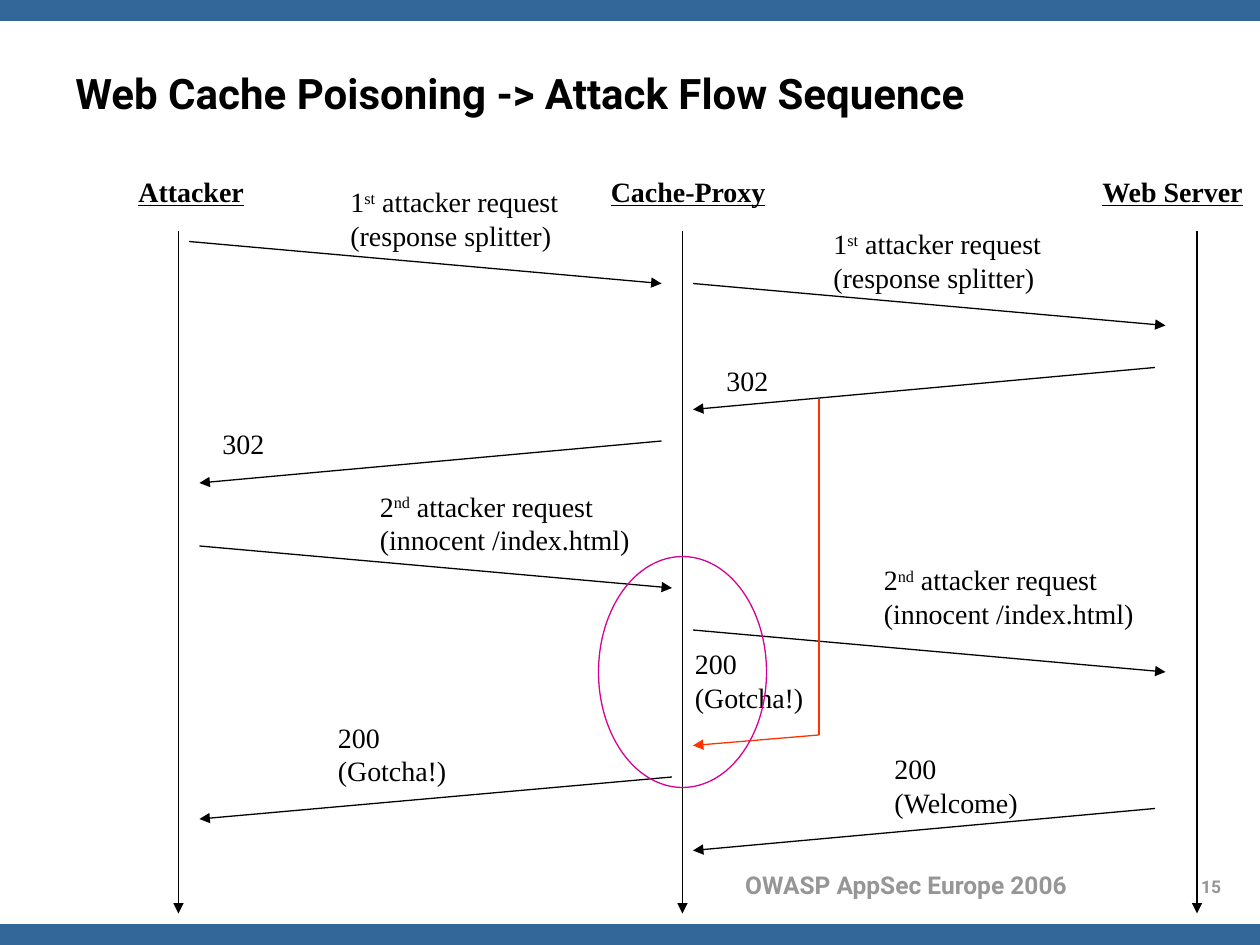
from dataclasses import dataclass

from lxml.etree import SubElement
from pptx import Presentation
from pptx.dml.color import RGBColor as RGB
from pptx.enum.shapes import MSO_CONNECTOR as Connector, MSO_SHAPE as Shape
from pptx.enum.text import MSO_ANCHOR as Anchor, PP_ALIGN as Align
from pptx.oxml.ns import qn
from pptx.util import Inches, Pt


@dataclass(frozen=True)
class Theme:
    bar: RGB = RGB(0x33, 0x66, 0x99)
    ink: RGB = RGB(0, 0, 0)
    muted: RGB = RGB(0x96, 0x96, 0x96)
    poison: RGB = RGB(0xFF, 0x33, 0)
    highlight: RGB = RGB(0xD6, 0, 0x93)
    sans: str = "Roboto"
    serif: str = "Times New Roman"
    title_size: int = 24
    footer_size: int = 14
    number_size: int = 10
    label_size: int = 16
    line_width: float = 0.75


theme = Theme()
COLUMNS, ROWS = 120, 90

presentation = Presentation()
presentation.slide_width = Inches(10)
presentation.slide_height = Inches(7.5)
slide = presentation.slides.add_slide(presentation.slide_layouts[6])
unit = presentation.slide_width / COLUMNS


def add_text(text, box, size, font=theme.serif, color=theme.ink, bold=False,
             underline=False, align=Align.LEFT, anchor=Anchor.TOP, wrap=True):
    """Write text in a grid box; parts between carets are superscript."""
    frame = slide.shapes.add_textbox(*(round(n * unit) for n in box)).text_frame
    frame.word_wrap = wrap
    frame.vertical_anchor = anchor
    for index, line in enumerate(text.split("\n")):
        paragraph = frame.paragraphs[0] if index == 0 else frame.add_paragraph()
        paragraph.alignment = align
        paragraph.font.name = font
        paragraph.font.size = Pt(size)
        paragraph.font.bold = bold
        paragraph.font.underline = underline
        paragraph.font.color.rgb = color
        for position, part in enumerate(line.split("^")):
            run = paragraph.add_run()
            run.text = part
            if position % 2:
                run.font._element.set("baseline", "30000")


def add_line(start, end, color=theme.ink, arrow=True):
    line = slide.shapes.add_connector(
        Connector.STRAIGHT, *(round(n * unit) for n in (*start, *end)))
    line.line.color.rgb = color
    line.line.width = Pt(theme.line_width)
    if arrow:
        SubElement(line.line._get_or_add_ln(), qn("a:tailEnd"), type="triangle")
    SubElement(line._element.spPr, qn("a:effectLst"))


# Frame of the slide
for top in (0, ROWS - 2):
    bar = slide.shapes.add_shape(
        Shape.RECTANGLE, 0, round(top * unit), presentation.slide_width, round(2 * unit))
    bar.shadow.inherit = False
    bar.fill.solid()
    bar.fill.fore_color.rgb = theme.bar
    bar.line.fill.background()

add_text("OWASP AppSec Europe 2006", (66, 82.3, 40.6, 4.1), theme.footer_size,
         theme.sans, theme.muted, bold=True, align=Align.CENTER)
add_text("15", (112.7, 82.8, 5.3, 3), theme.number_size,
         theme.sans, theme.muted, bold=True, align=Align.CENTER)
add_text("Web Cache Poisoning -> Attack Flow Sequence", (6, 3.6, 108, 10.4),
         theme.title_size, theme.sans, bold=True, anchor=Anchor.MIDDLE)

# Participants: name, lifeline column, heading column, heading width
participants = [
    ("Attacker", 17, 12, 16.2),
    ("Cache-Proxy", 65, 57, 19),
    ("Web Server", 114, 103.8, 16.2),
]
for name, lifeline, left, width in participants:
    add_line((lifeline, 22), (lifeline, 87))
    add_text(name, (left, 16, width, 4.4), theme.label_size, bold=True, underline=True)

# Messages: start column, end column, start row; each one falls four rows
messages = [
    (18, 63, 23), (66, 111, 27), (110, 66, 35), (63, 19, 42),
    (19, 64, 52), (66, 111, 60), (64, 19, 74), (110, 66, 77),
]
for start, end, row in messages:
    add_line((start, row), (end, row + 4))

# The poisoned answer is held back until the second request
add_line((78, 38), (78, 70), theme.poison, arrow=False)
add_line((78, 70), (66, 71), theme.poison)

# Message labels: text, width, top left corners
first_request = "1^st^ attacker request\n(response splitter)"
second_request = "2^nd^ attacker request\n(innocent /index.html)"
labels = [
    (first_request, 22.8, [(32.2, 17), (78.2, 21)]),
    ("302", 6.4, [(68, 34), (20, 40)]),
    (second_request, 26.2, [(35, 46), (83, 53)]),
    ("200\n(Gotcha!)", 12.7, [(65, 61), (31, 68)]),
    ("200\n(Welcome)", 14.3, [(84, 71)]),
]
for text, width, corners in labels:
    height = 7.7 if "\n" in text else 4.4
    for left, top in corners:
        add_text(text, (left, top, width, height), theme.label_size, wrap=False)

mismatch = slide.shapes.add_shape(
    Shape.OVAL, *(round(n * unit) for n in (57, 53, 16, 22)))
mismatch.shadow.inherit = False
mismatch.fill.background()
mismatch.line.color.rgb = theme.highlight
mismatch.line.width = Pt(theme.line_width)

presentation.save("out.pptx")
